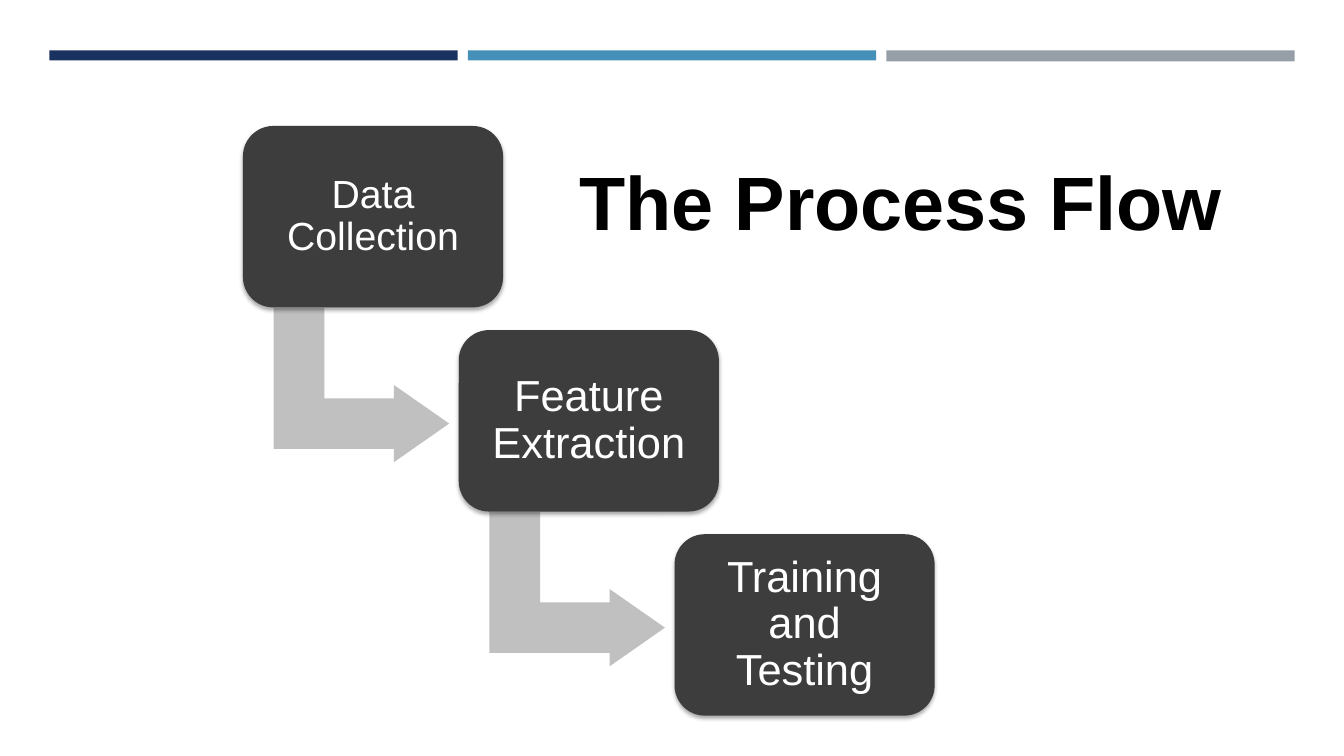
from lxml import etree
from pptx import Presentation
from pptx.dml.color import RGBColor
from pptx.enum.shapes import MSO_SHAPE
from pptx.enum.text import MSO_ANCHOR, PP_ALIGN
from pptx.util import Inches, Pt

RECT = MSO_SHAPE.RECTANGLE
ROUND = MSO_SHAPE.ROUNDED_RECTANGLE
BENT = MSO_SHAPE.BENT_UP_ARROW
TOP, MIDDLE = MSO_ANCHOR.TOP, MSO_ANCHOR.MIDDLE
CENTER = PP_ALIGN.CENTER
NS = "http://schemas.openxmlformats.org/drawingml/2006/main"
SHADOW = (f'<a:outerShdw xmlns:a="{NS}" blurRad="39370" dist="22860" '
          'dir="5400000" rotWithShape="0"><a:srgbClr val="000000">'
          '<a:alpha val="35000"/></a:srgbClr></a:outerShdw>')

prs = Presentation()
prs.slide_width, prs.slide_height = Inches(13.33), Inches(7.5)
slide = prs.slides.add_slide(prs.slide_layouts[5])


def add(kind, left, top, width, height, color):
    shape = slide.shapes.add_shape(
        kind, Inches(left), Inches(top), Inches(width), Inches(height))
    shape.shadow.inherit = False
    shape.fill.solid()
    shape.fill.fore_color.rgb = RGBColor.from_string(color)
    shape.line.fill.background()
    return shape


def write(frame, text, size, color, inset, anchor):
    frame.text = text
    frame.word_wrap = True
    frame.vertical_anchor = anchor
    frame.margin_left = frame.margin_right = Inches(inset[0])
    frame.margin_top = frame.margin_bottom = Inches(inset[1])
    para = frame.paragraphs[0]
    para.alignment = CENTER
    font = para.runs[0].font
    font.name, font.size = "Arial", Pt(size)
    font.color.rgb = RGBColor.from_string(color)
    return para


# Bars across the top
bars = [("1A3260", 0.1), ("4590B8", 0.1), ("969FA7", 0.11)]
for i, (color, height) in enumerate(bars):
    add(RECT, 0.49 + 4.15 * i, 0.5, 4.05, height, color)

# Title
title = slide.shapes.title
title.left, title.top = Inches(5.01), Inches(1.49)
title.width, title.height = Inches(7.85), Inches(1.01)
para = write(title.text_frame, "The Process Flow", 54, "000000",
             (0.1, 0.05), TOP)
para.runs[0].font.bold = True

# Steps going down to the right, each but the last with an arrow
steps = [("Data Collection", 28, 0.12), ("Feature Extraction", 31, 0.13),
         ("Training and Testing", 31, 0.13)]
for i, (text, size, inset) in enumerate(steps):
    dx, dy = 2.14 * i, 2.025 * i
    if i < len(steps) - 1:
        arrow = add(BENT, 2.82 + dx, 2.95 + dy, 1.53, 1.74, "C0C0C0")
        arrow.rotation = 90
        for n, value in enumerate((0.328, 0.25, 0.358)):
            arrow.adjustments[n] = value
    box = add(ROUND, 2.41 + dx, 1.25 + dy, 2.58, 1.8, "3D3D3D")
    box.adjustments[0] = 0.167
    effects = box._element.spPr.find(f"{{{NS}}}effectLst")
    effects.append(etree.fromstring(SHADOW))
    para = write(box.text_frame, text, size, "FFFFFF", (inset, inset), MIDDLE)
    para.line_spacing = 0.9

prs.save("out.pptx")
